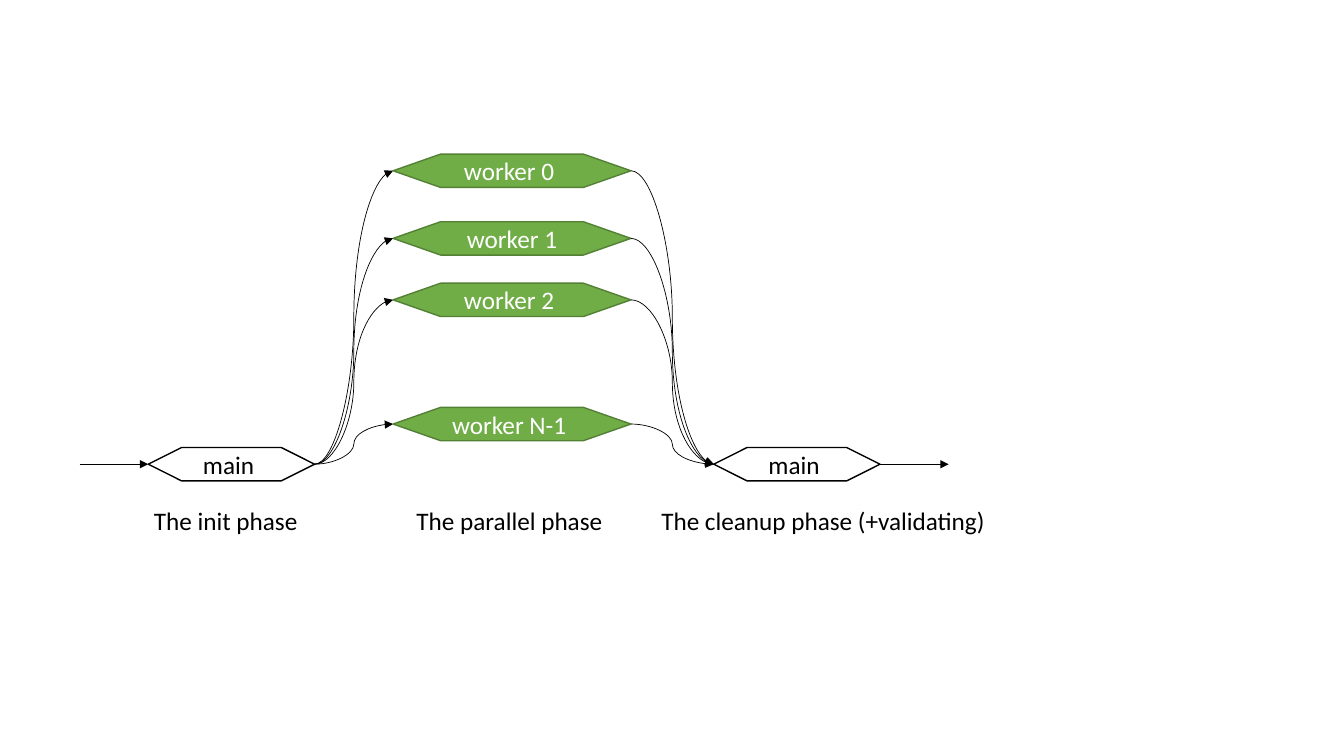
import pptx
import pptx.dml.color
import pptx.enum.shapes
import pptx.enum.text
import pptx.oxml
import pptx.oxml.ns
import pptx.util

Pt = pptx.util.Pt
COLORS = {"black": "000000", "white": "FFFFFF", "green": "70AD47", "dark green": "538035"}
LEFT, RIGHT = 1, 3
NODE_HEIGHT = 23.8
MAIN_TOP, MAIN_WIDTH = 319.7, 118.8
WORKER_LEFT, WORKER_WIDTH = 280.8, 169.9
ARROW_LENGTH = 49
LABEL_TOP, LABEL_HEIGHT = 357.1, 28.8

WORKERS = [("worker 0 ", 110.1), ("worker 1", 158.4), ("worker 2 ", 202.3), ("worker N-1 ", 291)]
PHASES = [
    ("The init phase", 102.2, 118.1),
    ("The parallel phase", 289.4, 149),
    ("The cleanup phase (+validating)", 463.7, 248.4),
]


def color(name):
    return pptx.dml.color.RGBColor.from_string(COLORS[name])


class Diagram:
    font_format = {"name": "Calibri", "size": Pt(18)}

    def __init__(self, slide):
        self.shapes = slide.shapes

    def put_text(self, frame, words, ink):
        paragraph = frame.paragraphs[0]
        paragraph.alignment = pptx.enum.text.PP_ALIGN.CENTER
        run = paragraph.add_run()
        run.text = words
        for key, value in self.font_format.items():
            setattr(run.font, key, value)
        run.font.color.rgb = color(ink)

    def node(self, words, left, top, width, fill, outline, ink):
        hexagon = self.shapes.add_shape(
            pptx.enum.shapes.MSO_SHAPE.FLOWCHART_PREPARATION,
            Pt(left), Pt(top), Pt(width), Pt(NODE_HEIGHT))
        hexagon.shadow.inherit = False
        hexagon.fill.solid()
        hexagon.fill.fore_color.rgb = color(fill)
        hexagon.line.color.rgb = color(outline)
        hexagon.line.width = Pt(1)
        hexagon.text_frame.vertical_anchor = pptx.enum.text.MSO_ANCHOR.MIDDLE
        self.put_text(hexagon.text_frame, words, ink)
        return hexagon

    def main_node(self, left):
        return self.node("main ", left, MAIN_TOP, MAIN_WIDTH, "white", "black", "black")

    def arrow(self, kind, start, end):
        link = self.shapes.add_connector(kind, *start, *end)
        link.line.color.rgb = color("black")
        link.line.width = Pt(0.5)
        namespace = pptx.oxml.ns.nsdecls("a")
        properties = link.element.spPr
        properties.find(pptx.oxml.ns.qn("a:ln")).append(
            pptx.oxml.parse_xml(f'<a:tailEnd {namespace} type="triangle"/>'))
        properties.append(pptx.oxml.parse_xml(f"<a:effectLst {namespace}/>"))
        return link

    def straight(self, start, end):
        return self.arrow(pptx.enum.shapes.MSO_CONNECTOR.STRAIGHT, start, end)

    def curve(self, source, target):
        """Join the right tip of source to the left tip of target."""
        link = self.arrow(pptx.enum.shapes.MSO_CONNECTOR.CURVE,
                          tip(source, RIGHT), tip(target, LEFT))
        link.begin_connect(source, RIGHT)
        link.end_connect(target, LEFT)

    def label(self, words, left, width):
        box = self.shapes.add_textbox(Pt(left), Pt(LABEL_TOP), Pt(width), Pt(LABEL_HEIGHT))
        box.text_frame.word_wrap = False
        box.text_frame.auto_size = pptx.enum.text.MSO_AUTO_SIZE.SHAPE_TO_FIT_TEXT
        self.put_text(box.text_frame, words, "black")


def tip(node, side):
    """Return the middle of the node's left or right side."""
    x = node.left + (node.width if side == RIGHT else 0)
    return x, node.top + node.height // 2


def main():
    deck = pptx.Presentation()
    deck.slide_width, deck.slide_height = Pt(960), Pt(540)
    diagram = Diagram(deck.slides.add_slide(deck.slide_layouts[6]))

    init = diagram.main_node(105.9)
    cleanup = diagram.main_node(509.8)
    for words, top in WORKERS:
        worker = diagram.node(words, WORKER_LEFT, top, WORKER_WIDTH,
                              "green", "dark green", "white")
        diagram.curve(init, worker)
        diagram.curve(worker, cleanup)

    x, y = tip(init, LEFT)
    entry = diagram.straight((x - Pt(ARROW_LENGTH), y), (x, y))
    entry.end_connect(init, LEFT)
    x, y = tip(cleanup, RIGHT)
    leave = diagram.straight((x, y), (x + Pt(ARROW_LENGTH), y))
    leave.begin_connect(cleanup, RIGHT)

    for phase in PHASES:
        diagram.label(*phase)
    deck.save("out.pptx")


if __name__ == "__main__":
    main()
